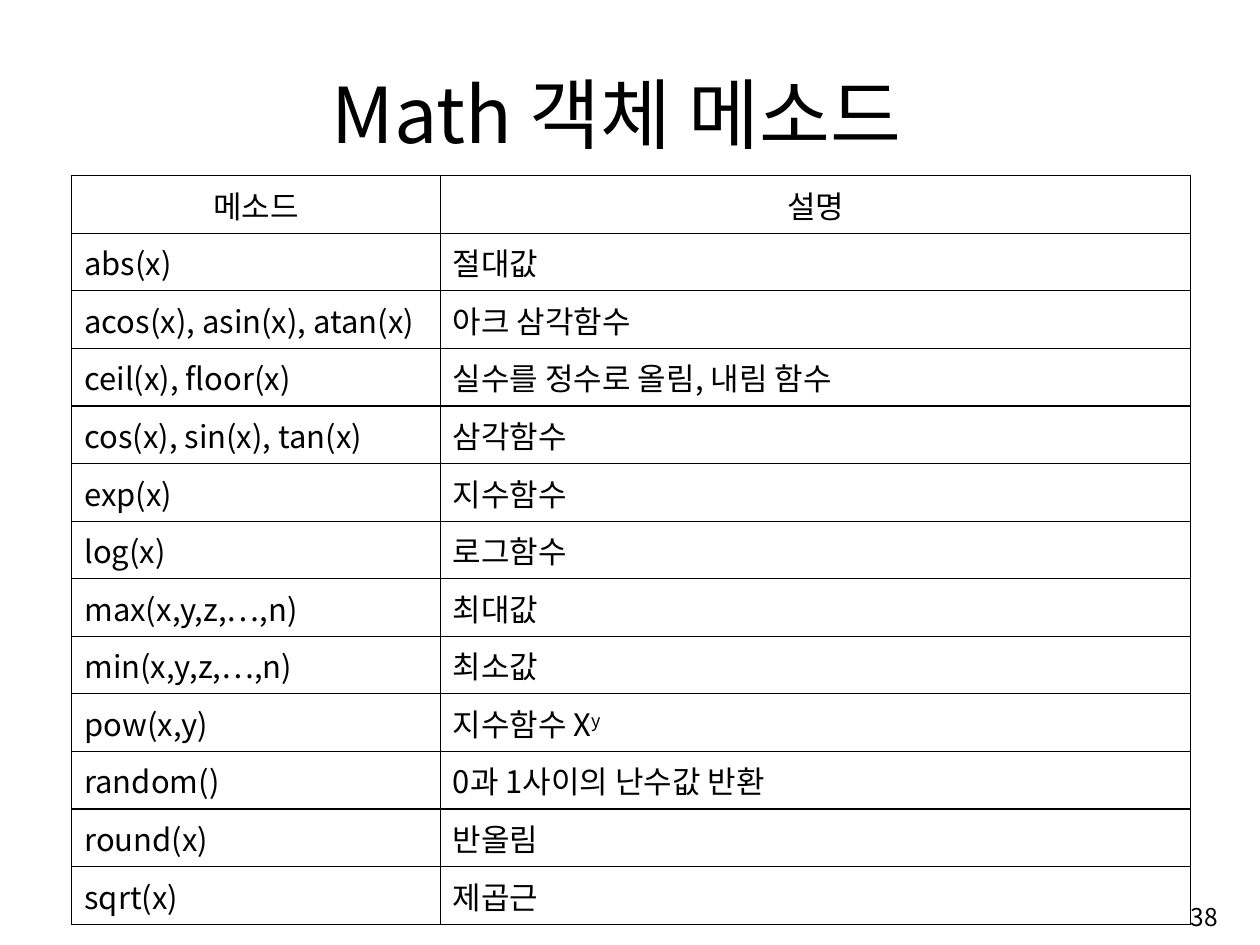
from dataclasses import dataclass

from lxml.etree import SubElement
from pptx import Presentation
from pptx.dml.color import RGBColor
from pptx.enum.text import MSO_ANCHOR, MSO_AUTO_SIZE, PP_ALIGN
from pptx.oxml.ns import qn
from pptx.util import Cm, Pt


@dataclass(frozen=True)
class Theme:
    font: str = "Noto Sans CJK KR"
    ink: str = "000000"
    paper: str = "FFFFFF"
    title_size: float = 57.2
    table_size: float = 23
    number_size: float = 18.2
    border_width: float = 1


THEME = Theme()
SUPERSCRIPT = "30000"
METHODS = [
    ("메소드", "설명"),
    ("abs(x)", "절대값"),
    ("acos(x), asin(x), atan(x)", "아크 삼각함수"),
    ("ceil(x), floor(x)", "실수를 정수로 올림, 내림 함수"),
    ("cos(x), sin(x), tan(x)", "삼각함수"),
    ("exp(x)", "지수함수"),
    ("log(x)", "로그함수"),
    ("max(x,y,z,…,n)", "최대값"),
    ("min(x,y,z,…,n)", "최소값"),
    ("pow(x,y)", "지수함수 X^y"),
    ("random()", "0과 1사이의 난수값 반환"),
    ("round(x)", "반올림"),
    ("sqrt(x)", "제곱근"),
]


def add_run(paragraph, words, size):
    run = paragraph.add_run()
    run.text = words
    run.font.size = Pt(size)
    run.font.name = THEME.font
    run.font.color.rgb = RGBColor.from_string(THEME.ink)
    properties = run.font._element
    SubElement(properties, qn("a:ea")).set("typeface", THEME.font)
    return properties


def write_line(frame, words, size, alignment):
    paragraph = frame.paragraphs[0]
    paragraph.alignment = alignment
    base, _, exponent = words.partition("^")
    add_run(paragraph, base, size)
    if exponent:
        add_run(paragraph, exponent, size).set("baseline", SUPERSCRIPT)


def add_title(slide, words):
    title = slide.shapes.title
    title.left, title.top = Cm(2.67), Cm(1.55)
    title.width, title.height = Cm(26.95), Cm(2.74)
    frame = title.text_frame
    frame.auto_size = MSO_AUTO_SIZE.NONE
    frame.vertical_anchor = MSO_ANCHOR.BOTTOM
    write_line(frame, words, THEME.title_size, PP_ALIGN.CENTER)


def style_cell(cell):
    cell.vertical_anchor = MSO_ANCHOR.MIDDLE
    cell.margin_left = cell.margin_right = Cm(0.33)
    cell.margin_top, cell.margin_bottom = Cm(0.17), Cm(0.16)
    properties = cell._tc.get_or_add_tcPr()
    for side in ("a:lnL", "a:lnR", "a:lnT", "a:lnB"):
        border = SubElement(properties, qn(side), w=str(Pt(THEME.border_width)))
        ink = SubElement(border, qn("a:solidFill"))
        SubElement(ink, qn("a:srgbClr"), val=THEME.ink)
    cell.fill.solid()
    cell.fill.fore_color.rgb = RGBColor.from_string(THEME.paper)


def add_method_table(slide, methods):
    widths = Cm(9.65), Cm(19.66)
    table = slide.shapes.add_table(
        len(methods), len(widths), Cm(1.88), Cm(4.6), sum(widths), Cm(17.98)
    ).table
    table.first_row = table.horz_banding = False
    for column, width in zip(table.columns, widths):
        column.width = width
    for row_index, method in enumerate(methods):
        alignment = PP_ALIGN.LEFT if row_index else PP_ALIGN.CENTER
        for column_index, words in enumerate(method):
            cell = table.cell(row_index, column_index)
            style_cell(cell)
            write_line(cell.text_frame, words, THEME.table_size, alignment)


def add_page_number(slide, number):
    frame = slide.shapes.add_textbox(
        Cm(25.27), Cm(23.24), Cm(6.88), Cm(1.52)
    ).text_frame
    frame.word_wrap = True
    frame.vertical_anchor = MSO_ANCHOR.MIDDLE
    write_line(frame, number, THEME.number_size, PP_ALIGN.RIGHT)


def main():
    presentation = Presentation()
    presentation.slide_width, presentation.slide_height = Cm(33), Cm(24.75)
    title_only = presentation.slide_layouts.get_by_name("Title Only")
    slide = presentation.slides.add_slide(title_only)
    add_title(slide, "Math 객체 메소드")
    add_method_table(slide, METHODS)
    add_page_number(slide, "38")
    presentation.save("out.pptx")


main()
